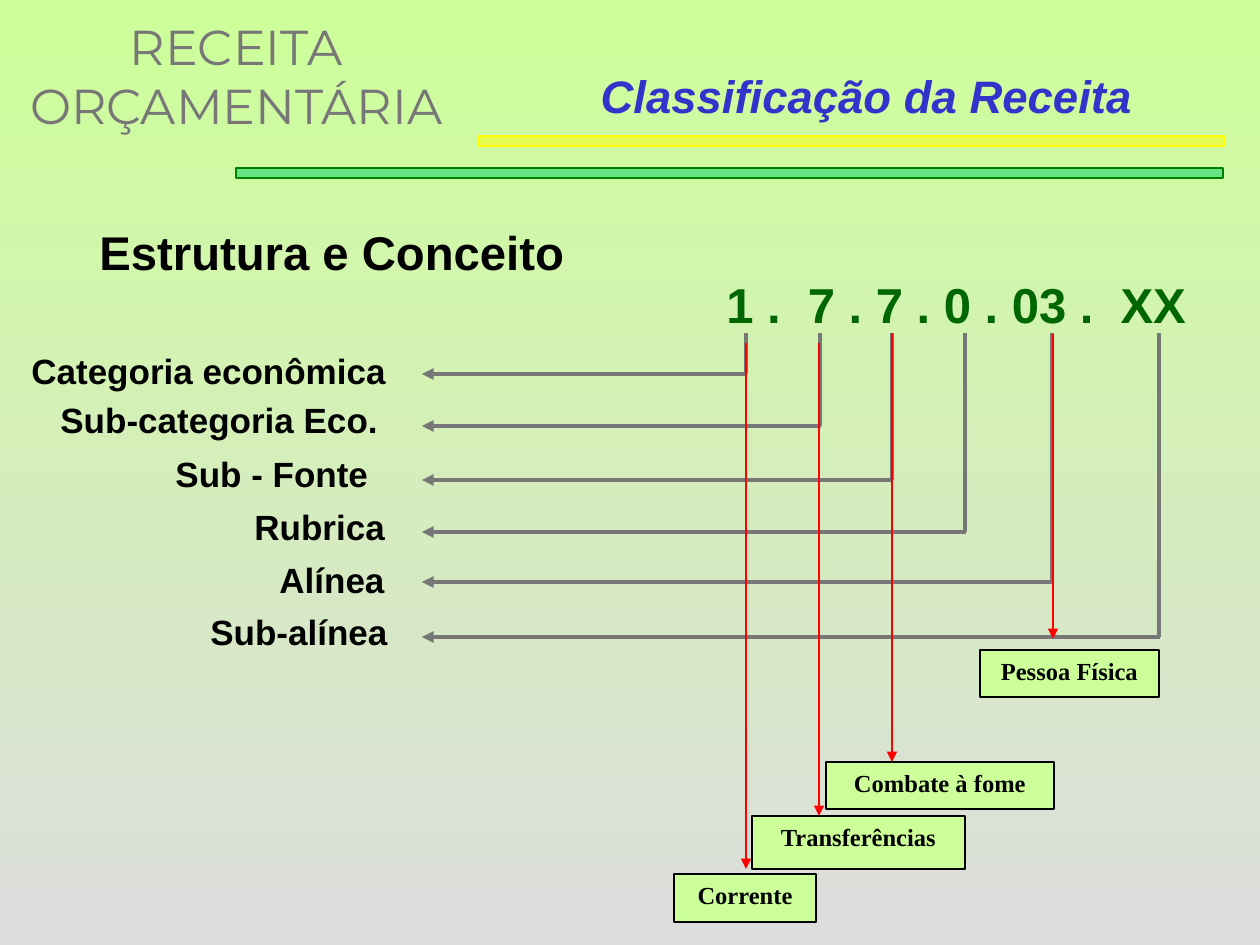
from dataclasses import dataclass

from lxml import etree
from pptx import Presentation
from pptx import util as u
from pptx.dml.color import RGBColor
from pptx.enum import shapes, text
from pptx.oxml.ns import qn

EMU_PER_PX = 914400 / 126


@dataclass(frozen=True)
class Theme:
    background_top: str = "CCFF99"
    background_bottom: str = "DDDDDD"
    green_fill: str = "00CC66"
    green_line: str = "008000"
    yellow: str = "FFFF00"
    gray: str = "777777"
    red: str = "FF0000"
    black: str = "000000"
    title: str = "3333CC"
    code: str = "006600"
    sans: str = "Arial"
    serif: str = "Times New Roman"
    display: str = "Montserrat"
    display_size: int = 28
    heading_size: int = 27
    title_size: int = 26
    label_size: int = 20
    box_size: int = 14


THEME = Theme()

# Code positions: label, label box (left, top, width), code x, row y
LEVELS = [
    ("Categoria econômica", (19, 343, 391), 746, 374),
    ("Sub-categoria Eco.", (48, 392, 355), 820, 426),
    ("Sub - Fonte", (163, 446, 230), 892, 480),
    ("Rubrica", (242, 499, 167), 965, 532),
    ("Alínea", (267, 552, 142), 1052, 582),
    ("Sub-alínea", (198, 604, 215), 1159, 637),
]
LABEL_HEIGHT = 55
CODE_BOTTOM = 333
ARROW_X = 422

# Examples: text, box, red arrow (x, top, bottom)
EXAMPLES = [
    ("Corrente", (674, 874, 142, 48), (746, 343, 869)),
    ("Transferências", (752, 816, 213, 53), (819, 343, 816)),
    ("Combate à fome", (826, 762, 228, 47), (892, 333, 762)),
    ("Pessoa Física", (980, 650, 179, 47), (1053, 334, 639)),
]


def px(value):
    return u.Emu(round(value * EMU_PER_PX))


def rgb(value):
    return RGBColor.from_string(value)


def write(shape, words, size, color, font=THEME.sans, bold=True, italic=False,
          align=text.PP_ALIGN.LEFT, grow=True, spacing=None):
    frame = shape.text_frame
    frame.text = words
    frame.word_wrap = True
    frame.vertical_anchor = text.MSO_ANCHOR.TOP
    frame.auto_size = (text.MSO_AUTO_SIZE.SHAPE_TO_FIT_TEXT if grow
                       else text.MSO_AUTO_SIZE.NONE)
    for paragraph in frame.paragraphs:
        paragraph.alignment = align
        if spacing:
            paragraph.line_spacing = spacing
        for run in paragraph.runs:
            run.font.name = font
            run.font.size = u.Pt(size)
            run.font.bold = bold
            run.font.italic = italic
            run.font.color.rgb = rgb(color)


def add_text(slide, box, words, size, color, **options):
    shape = slide.shapes.add_textbox(*map(px, box))
    write(shape, words, size, color, **options)


def add_box(slide, box, fill, line, opacity=None):
    shape = slide.shapes.add_shape(shapes.MSO_SHAPE.RECTANGLE, *map(px, box))
    shape.shadow.inherit = False
    shape.fill.solid()
    shape.fill.fore_color.rgb = rgb(fill)
    shape.line.color.rgb = rgb(line)
    shape.line.width = u.Pt(0.75)
    if opacity is not None:
        color = shape.fill._xPr.find(qn("a:solidFill"))[0]
        etree.SubElement(color, qn("a:alpha"), val=str(opacity * 1000))
    return shape


def add_line(slide, start, end, color, width, arrow=False):
    connector = slide.shapes.add_connector(
        shapes.MSO_CONNECTOR.STRAIGHT, *map(px, start + end))
    connector.line.color.rgb = rgb(color)
    connector.line.width = u.Pt(width)
    if arrow:
        etree.SubElement(connector.line._get_or_add_ln(), qn("a:tailEnd"),
                         type="triangle")
    etree.SubElement(connector._element.spPr, qn("a:effectLst"))


def set_background(slide):
    fill = slide.background.fill
    fill.gradient()
    fill.gradient_angle = 270
    colors = (THEME.background_top, THEME.background_bottom)
    for stop, position, color in zip(fill.gradient_stops, (0, 1), colors):
        stop.position = position
        stop.color.rgb = rgb(color)


def set_title(slide, box, words):
    title = slide.shapes.title
    title.left, title.top, title.width, title.height = map(px, box)
    write(title, words, THEME.title_size, THEME.title, italic=True)


def add_level(slide, label, label_box, x, y):
    add_line(slide, (x, CODE_BOTTOM), (x, y), THEME.gray, 2.25)
    add_line(slide, (x + 1, y), (ARROW_X, y), THEME.gray, 2.25, arrow=True)
    add_text(slide, label_box + (LABEL_HEIGHT,), label, THEME.label_size,
             THEME.black)


def add_example(slide, words, box):
    shape = add_box(slide, box, THEME.background_top, THEME.black)
    write(shape, words, THEME.box_size, THEME.black, font=THEME.serif,
          align=text.PP_ALIGN.CENTER, grow=False)


def main():
    presentation = Presentation()
    presentation.slide_width = px(1260)
    presentation.slide_height = px(945)
    slide = presentation.slides.add_slide(presentation.slide_layouts[5])
    set_background(slide)

    # Header
    add_box(slide, (236, 168, 987, 10), THEME.green_fill, THEME.green_line, 50)
    add_box(slide, (478, 136, 746, 10), THEME.yellow, THEME.yellow, 50)
    set_title(slide, (588, 62, 709, 68), "Classificação da Receita")
    add_text(slide, (0, 10, 472, 131), "RECEITA\nORÇAMENTÁRIA",
             THEME.display_size, THEME.gray, font=THEME.display, bold=False,
             align=text.PP_ALIGN.CENTER)

    # Heading and revenue code
    add_text(slide, (87, 200, 510, 87), "Estrutura e Conceito",
             THEME.heading_size, THEME.black, spacing=1.3)
    add_text(slide, (714, 268, 509, 72), "1 .  7 . 7 . 0 . 03 .  XX",
             THEME.display_size, THEME.code)

    # Code levels with their elbow arrows
    for level in LEVELS:
        add_level(slide, *level)

    # Example arrows, then their boxes on top
    for _, _, (x, top, bottom) in EXAMPLES:
        add_line(slide, (x, top), (x, bottom), THEME.red, 0.75, arrow=True)
    for words, box, _ in EXAMPLES:
        add_example(slide, words, box)

    presentation.save("out.pptx")


if __name__ == "__main__":
    main()
